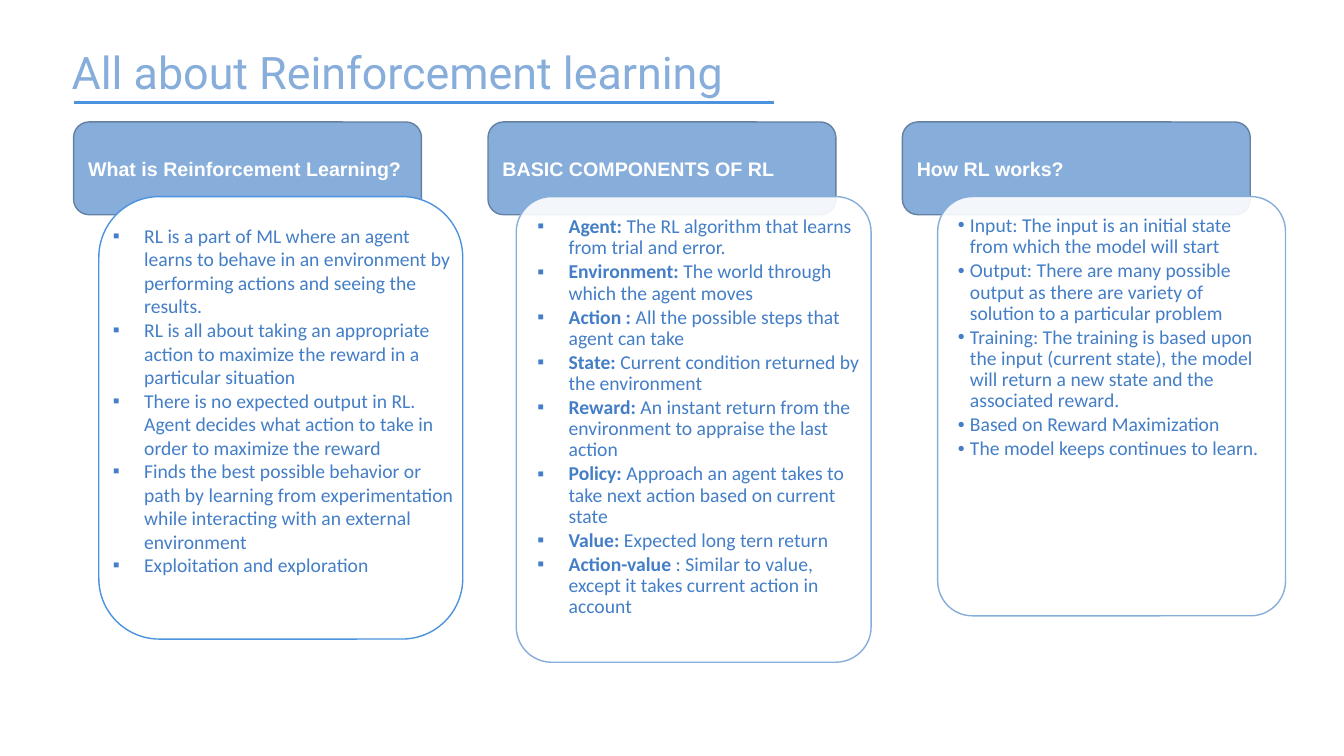
from dataclasses import dataclass
from lxml import etree
from pptx import Presentation
from pptx import util as u
from pptx.dml import color as c
from pptx.enum import shapes, text
from pptx.oxml import ns


@dataclass(frozen=True)
class Theme:
    soft: str = "87ADDB"
    edge: str = "6480A2"
    accent: str = "4C93DF"
    ink: str = "437EC7"
    white: str = "FFFFFF"
    title_size: int = 32
    text_size: int = 14


theme = Theme()


def write(paragraph, words, size=theme.text_size, font="Calibri", color=theme.ink, bold=False):
    run = paragraph.add_run()
    run.text = words
    run.font.size = u.Pt(size)
    run.font.name = font
    run.font.bold = bold
    run.font.color.rgb = c.RGBColor.from_string(color)


def add_panel(place, fill, line):
    shape = slide.shapes.add_shape(
        shapes.MSO_SHAPE.ROUNDED_RECTANGLE, *[u.Inches(value) for value in place])
    shape.shadow.inherit = False
    shape.fill.solid()
    shape.fill.fore_color.rgb = c.RGBColor.from_string(fill)
    shape.line.color.rgb = c.RGBColor.from_string(line)
    shape.line.width = u.Pt(1)
    return shape


columns = [
    dict(
        heading="What is Reinforcement Learning?",
        card=(0.98, 1.95, 3.61, 4.39), edge=theme.accent, corner=0.1667, opacity=100,
        body=(1.02, 2.17, 3.61, 3.64), inset=(0.1, 0.05), bullet="▪", indent=0.31,
        line_spacing=1.0, space_after=0,
        items=[
            ("", "RL is a part of ML where an agent learns to behave in an environment by performing actions and seeing the results."),
            ("", "RL is all about taking an appropriate action to maximize the reward in a particular situation"),
            ("", "There is no expected output in RL. Agent decides what action to take in order to maximize the reward"),
            ("", "Finds the best possible behavior or path by learning from experimentation while interacting with an external environment"),
            ("", "Exploitation and exploration"),
        ],
    ),
    dict(
        heading="BASIC COMPONENTS OF RL",
        card=(5.12, 1.95, 3.52, 4.62), edge=theme.soft, corner=0.1, opacity=90,
        body=(5.22, 2.04, 3.45, 4.44), inset=(0.11, 0.11), bullet="▪", indent=0.31,
        line_spacing=0.9, space_after=2,
        items=[
            ("Agent:", " The RL algorithm that learns from trial and error."),
            ("Environment:", " The world through which the agent moves"),
            ("Action :", " All the possible steps that agent can take"),
            ("State:", " Current condition returned by the environment"),
            ("Reward:", " An instant return from the environment to appraise the last action"),
            ("Policy:", " Approach an agent takes to take next action based on current state"),
            ("Value:", " Expected long tern return"),
            ("Action-value ", ": Similar to value, except it takes current action in account"),
        ],
    ),
    dict(
        heading="How RL works?",
        card=(9.3, 1.95, 3.45, 4.16), edge=theme.soft, corner=0.1, opacity=90,
        body=(9.4, 2.04, 3.25, 3.97), inset=(0.1, 0.1), bullet="•", indent=0.12,
        line_spacing=0.9, space_after=2,
        items=[
            ("", "Input: The input is an initial state from which the model will start"),
            ("", "Output: There are many possible output as there are variety of solution to a particular problem"),
            ("", "Training: The training is based upon the input (current state), the model will return a new state and the associated reward."),
            ("", "Based on Reward Maximization"),
            ("", "The model keeps continues to learn."),
        ],
    ),
]

presentation = Presentation()
presentation.slide_width = u.Inches(13.33)
presentation.slide_height = u.Inches(7.5)
slide = presentation.slides.add_slide(presentation.slide_layouts.get_by_name("Comparison"))

title = slide.shapes.title
title.left, title.top, title.width, title.height = [u.Inches(v) for v in (0.61, 0.45, 12, 0.92)]
title.text_frame.vertical_anchor = text.MSO_ANCHOR.TOP
title.text_frame.auto_size = text.MSO_AUTO_SIZE.NONE
paragraph = title.text_frame.paragraphs[0]
paragraph.alignment = text.PP_ALIGN.LEFT
paragraph.line_spacing = 0.9
write(paragraph, "All about Reinforcement learning",
      size=theme.title_size, font="Roboto", color=theme.soft)

for number, column in enumerate(columns):
    header = add_panel((0.73 + 4.11 * number, 1.21, 3.45, 0.92), theme.soft, theme.edge)
    header.text_frame.vertical_anchor = text.MSO_ANCHOR.MIDDLE
    paragraph = header.text_frame.paragraphs[0]
    paragraph.alignment = text.PP_ALIGN.JUSTIFY
    write(paragraph, column["heading"], font="Arial", color=theme.white, bold=True)

    card = add_panel(column["card"], theme.white, column["edge"])
    card.adjustments[0] = column["corner"]
    if column["opacity"] < 100:
        card_color = card.element.spPr.find(ns.qn("a:solidFill"))[0]
        etree.SubElement(card_color, ns.qn("a:alpha"), val=str(column["opacity"] * 1000))

    body = slide.placeholders[number + 1]
    body.element.addprevious(header.element)
    body.element.addprevious(card.element)
    body.left, body.top, body.width, body.height = [u.Inches(v) for v in column["body"]]
    frame = body.text_frame
    frame.word_wrap = True
    frame.auto_size = text.MSO_AUTO_SIZE.NONE
    frame.vertical_anchor = text.MSO_ANCHOR.TOP
    side, end = column["inset"]
    frame.margin_left = frame.margin_right = u.Inches(side)
    frame.margin_top = frame.margin_bottom = u.Inches(end)

    for index, (label, words) in enumerate(column["items"]):
        paragraph = frame.add_paragraph() if index else frame.paragraphs[0]
        paragraph.alignment = text.PP_ALIGN.LEFT
        paragraph.line_spacing = column["line_spacing"]
        paragraph.space_before = u.Pt(0)
        paragraph.space_after = u.Pt(column["space_after"])
        properties = paragraph._p.get_or_add_pPr()
        properties.set("marL", str(u.Inches(column["indent"])))
        properties.set("indent", str(-u.Inches(column["indent"])))
        etree.SubElement(properties, ns.qn("a:buFont"), typeface="Arial")
        etree.SubElement(properties, ns.qn("a:buChar"), char=column["bullet"])
        if label:
            write(paragraph, label, bold=True)
        write(paragraph, words)

spare = slide.placeholders[4].element
spare.getparent().remove(spare)

underline = slide.shapes.add_connector(
    shapes.MSO_CONNECTOR.STRAIGHT, u.Inches(0.73), u.Inches(1.02), u.Inches(7.68), u.Inches(1.02))
underline.line.color.rgb = c.RGBColor.from_string(theme.accent)
underline.line.width = u.Pt(2)
etree.SubElement(underline.element.spPr, ns.qn("a:effectLst"))

presentation.save("out.pptx")
